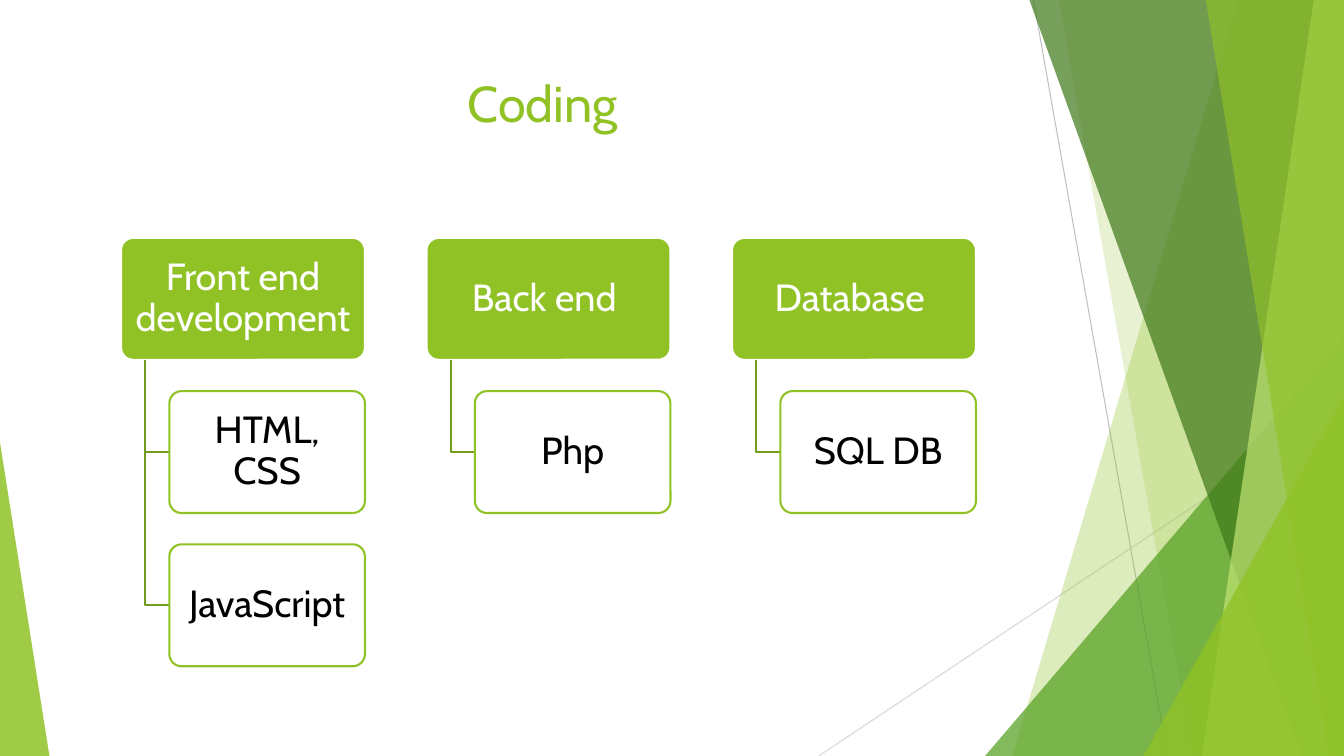
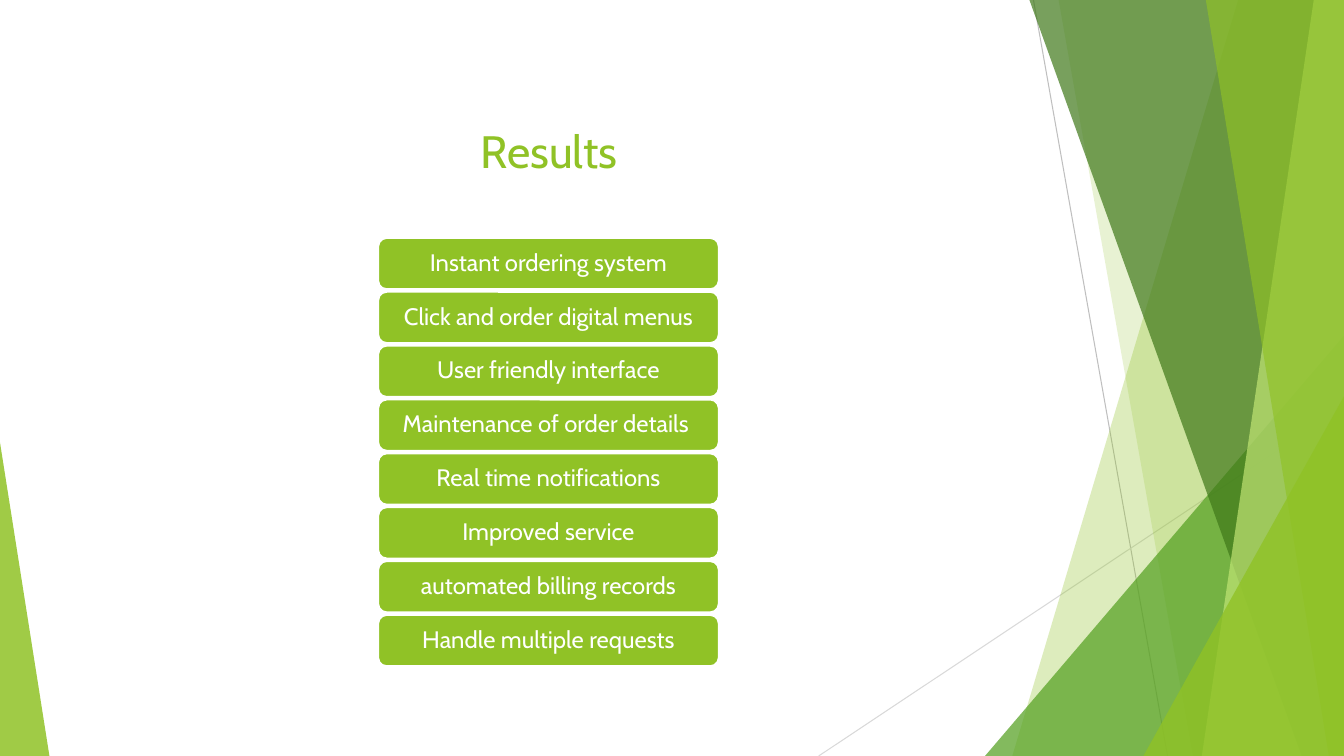
from lxml import etree
from pptx import Presentation
from pptx.dml.color import RGBColor
from pptx.enum.shapes import MSO_CONNECTOR, MSO_SHAPE
from pptx.enum.text import MSO_ANCHOR, MSO_AUTO_SIZE, PP_ALIGN
from pptx.oxml.ns import qn
from pptx.util import Inches, Pt

STRAIGHT = MSO_CONNECTOR.STRAIGHT
ROUNDED = MSO_SHAPE.ROUNDED_RECTANGLE
TRIANGLE = MSO_SHAPE.ISOSCELES_TRIANGLE
TOP, MIDDLE = MSO_ANCHOR.TOP, MSO_ANCHOR.MIDDLE
CENTER = PP_ALIGN.CENTER
NO_AUTOFIT = MSO_AUTO_SIZE.NONE

FONT = "Cabin"
COLORS = {
    "lime": "90C226",
    "green": "54A021",
    "forest": "3F7819",
    "pale": "C0E474",
    "olive": "739B1E",
    "gray": "BFBFBF",
    "light gray": "D9D9D9",
    "white": "FFFFFF",
    "black": "000000",
}
WIDTH, HEIGHT = 13.33, 7.5


def paint(shape, fill=None, opacity=100, line=None):
    """Set fill, opacity in percent and outline; None means no fill or no line."""
    shape.shadow.inherit = False
    if fill:
        shape.fill.solid()
        shape.fill.fore_color.rgb = RGBColor.from_string(COLORS[fill])
        if opacity < 100:
            color = shape.element.spPr.find(qn("a:solidFill")).find(qn("a:srgbClr"))
            etree.SubElement(color, qn("a:alpha")).set("val", str(opacity * 1000))
    else:
        shape.fill.background()
    if line:
        shape.line.color.rgb = RGBColor.from_string(COLORS[line])
        shape.line.width = Pt(1.5)
    else:
        shape.line.fill.background()


def write(shape, text, size, color, anchor=MIDDLE, spacing=0.9, insets=(0.06, 0.04)):
    frame = shape.text_frame
    frame.word_wrap = True
    frame.auto_size = NO_AUTOFIT
    frame.vertical_anchor = anchor
    frame.margin_left = frame.margin_right = Inches(insets[0])
    frame.margin_top = frame.margin_bottom = Inches(insets[1])
    para = frame.paragraphs[0]
    para.alignment = CENTER
    para.line_spacing = spacing
    span = para.add_run()
    span.text = text
    span.font.name = FONT
    span.font.size = Pt(size)
    span.font.color.rgb = RGBColor.from_string(COLORS[color])


deck = Presentation()
deck.slide_width, deck.slide_height = Inches(WIDTH), Inches(HEIGHT)
layout = deck.slide_layouts[5]
for placeholder in list(layout.placeholders):
    if placeholder.placeholder_format.idx != 0:
        layout.shapes.element.remove(placeholder.element)

# Titles
titles = [
    ("Coding ", 36, (0.74, 0.67, 9.4, 1.44)),
    ("Results", 32.4, (4.1, 1.17, 2.69, 0.81)),
]
for text, size, bounds in titles:
    title = deck.slides.add_slide(layout).shapes.title
    title.left, title.top, title.width, title.height = map(Inches, bounds)
    write(title, text, size, "lime", TOP, 1.0, (0.1, 0.05))
coding, results = deck.slides

# Shared backdrop: drawn on a slide, then moved behind the layout's title
backdrop = []
rays = [
    ((10.25, 0), (11.58, HEIGHT), "gray"),
    ((WIDTH, 4.03), (8.12, HEIGHT), "light gray"),
]
for start, end, color in rays:
    ray = coding.shapes.add_connector(STRAIGHT, *map(Inches, start + end))
    ray.line.color.rgb = RGBColor.from_string(COLORS[color])
    ray.line.width = Pt(0.75)
    etree.SubElement(ray.element.spPr, qn("a:effectLst"))
    backdrop.append(ray)

# A band runs from its top-left and bottom-left corners to the right slide edge;
# a triangle has left, top, width and the position of its tip.
facets = [
    ("band", (12.28, 10.04), "lime", 30),
    ("band", (10.5, 11.83), "lime", 20),
    ("triangle", (9.77, 3.33, 3.56, 1), "green", 72),
    ("band", (10.21, 12.91), "forest", 70),
    ("band", (13.03, 11.92), "pale", 70),
    ("band", (11.96, 13.18), "lime", 65),
    ("triangle", (11.34, 3.93, 1.99, 1), "lime", 80),
    ("triangle", (0, 4.39, 0.49, 0), "lime", 85),
]
for kind, geometry, color, opacity in facets:
    if kind == "band":
        top_x, bottom_x = geometry
        corners = [(WIDTH, 0), (WIDTH, HEIGHT), (bottom_x, HEIGHT)]
        outline = coding.shapes.build_freeform(Inches(top_x), 0)
        outline.add_line_segments([(Inches(x), Inches(y)) for x, y in corners])
        facet = outline.convert_to_shape()
    else:
        left, top, width, tip = geometry
        facet = coding.shapes.add_shape(
            TRIANGLE, Inches(left), Inches(top), Inches(width), Inches(HEIGHT - top))
        facet.adjustments[0] = tip
    paint(facet, color, opacity)
    backdrop.append(facet)
for position, shape in enumerate(backdrop, start=2):
    layout.shapes.element.insert(position, shape.element)

# Coding: one column per area, its technologies hanging below
areas = [
    ("Front end development", ["HTML, CSS", "JavaScript"]),
    ("Back end ", ["Php"]),
    ("Database ", ["SQL DB"]),
]
BOX_TOP, BOX_HEIGHT, ROW_STEP = 2.36, 1.21, 1.52
for column, (area, technologies) in enumerate(areas):
    left = 1.2 + 3.03 * column
    header = coding.shapes.add_shape(
        ROUNDED, Inches(left), Inches(BOX_TOP), Inches(2.42), Inches(BOX_HEIGHT))
    header.adjustments[0] = 0.1
    paint(header, "lime", line="white")
    write(header, area, 27, "white")

    trunk_x, child_left = left + 0.24, left + 0.48
    for row, technology in enumerate(technologies, start=1):
        top = BOX_TOP + ROW_STEP * row
        middle = top + BOX_HEIGHT / 2
        branch = coding.shapes.build_freeform(Inches(trunk_x), Inches(BOX_TOP + BOX_HEIGHT))
        branch.add_line_segments(
            [(Inches(trunk_x), Inches(middle)), (Inches(child_left), Inches(middle))],
            close=False)
        paint(branch.convert_to_shape(), line="olive")
        box = coding.shapes.add_shape(
            ROUNDED, Inches(child_left), Inches(top), Inches(1.94), Inches(BOX_HEIGHT))
        box.adjustments[0] = 0.1
        paint(box, "white", 90, "lime")
        write(box, technology, 27, "black")

# Results: a stack of equal bars
outcomes = [
    "Instant ordering system",
    "Click and order digital menus",
    "User friendly interface",
    "Maintenance of order details ",
    "Real time notifications",
    "Improved service",
    "automated billing records",
    "Handle multiple requests",
]
BAR_STEP = (6.1 - 2.36) / (len(outcomes) - 1)
for row, outcome in enumerate(outcomes):
    bar = results.shapes.add_shape(
        ROUNDED, Inches(3.75), Inches(2.36 + BAR_STEP * row), Inches(3.38), Inches(0.51))
    paint(bar, "lime", line="white")
    write(bar, outcome, 17, "white", insets=(0.07, 0.04))

deck.save("out.pptx")
